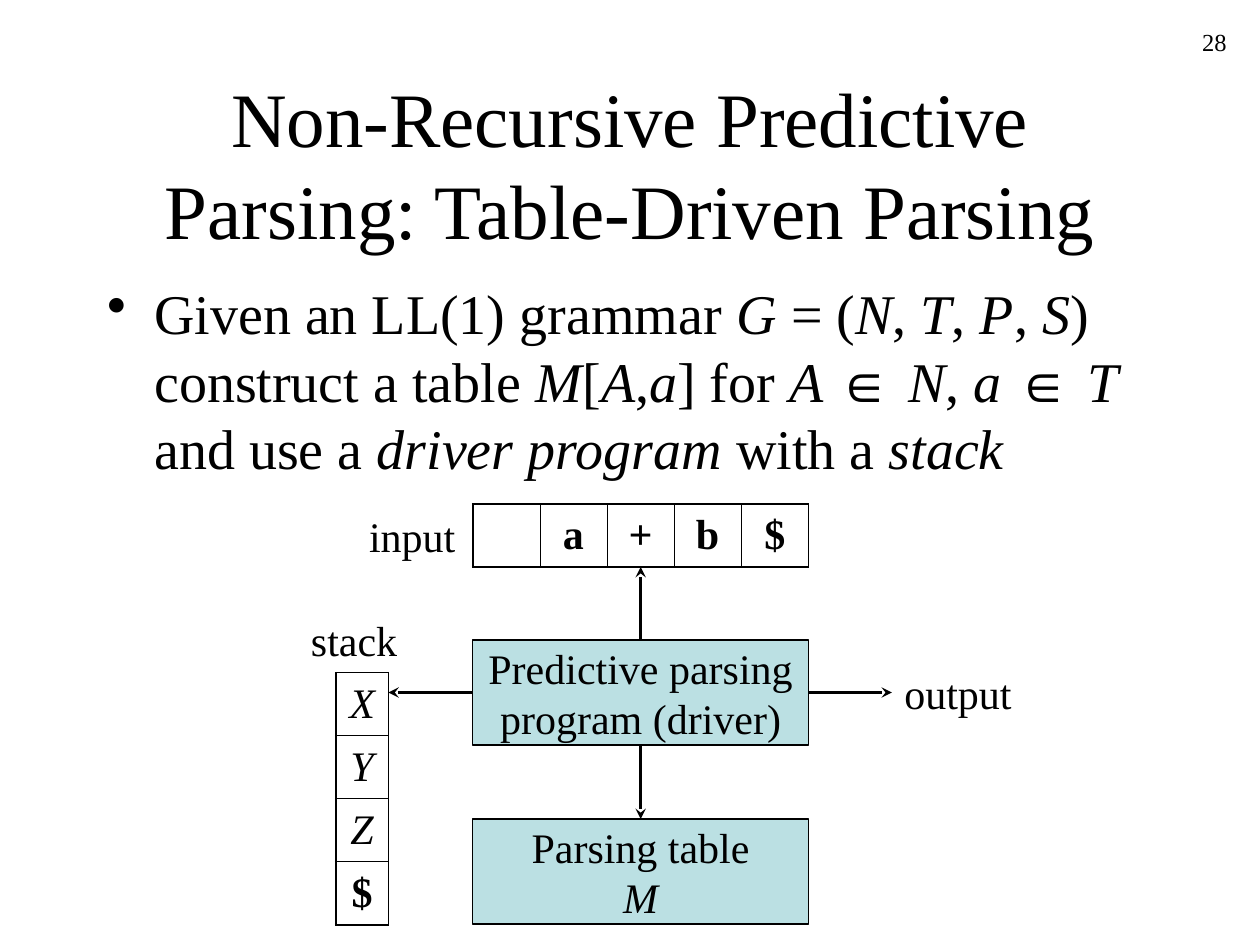
import pptx
import pptx.util
import pptx.dml.color
import pptx.enum.shapes
import pptx.enum.text
import pptx.oxml
import pptx.oxml.ns
from lxml import etree

Cm, Pt = pptx.util.Cm, pptx.util.Pt
RGBColor = pptx.dml.color.RGBColor
ALIGN = pptx.enum.text.PP_ALIGN
ANCHOR = pptx.enum.text.MSO_ANCHOR
AUTO_SIZE = pptx.enum.text.MSO_AUTO_SIZE
BLACK = RGBColor(0x00, 0x00, 0x00)
PALE_BLUE = RGBColor(0xBB, 0xE0, 0xE3)
FONT, SYMBOL_FONT = "Times New Roman", "Arial"

# Content: runs are (text, style), where style is "", "i", "b" or "symbol"
TITLE = "Non-Recursive Predictive Parsing: Table-Driven Parsing"
PAGE_NUMBER = "28"
BULLET = [
    ("Given an LL(1) grammar ", ""), ("G ", "i"), ("= (", ""), ("N", "i"),
    (", ", ""), ("T", "i"), (", ", ""), ("P", "i"), (", ", ""), ("S", "i"),
    (") construct a table ", ""), ("M", "i"), ("[", ""), ("A", "i"),
    (",", ""), ("a", "i"), ("] for ", ""), ("A ", "i"), ("∈ ", "symbol"),
    ("N", "i"), (", ", ""), ("a ", "i"), ("∈ ", "symbol"), ("T ", "i"),
    ("and use a ", ""), ("driver program", "i"), (" with a ", ""),
    ("stack", "i"),
]
INPUT_ROW = [[("", ""), ("a", "b"), ("+", "b"), ("b", "b"), ("$", "b")]]
STACK_COLUMN = [[("X", "i")], [("Y", "i")], [("Z", "i")], [("$", "b")]]
DRIVER = [[("Predictive parsing", "")], [("program (driver)", "")]]
PARSING_TABLE = [[("Parsing table", "")], [("M", "i")]]
LABELS = [  # text, left, top, width
    ("stack", 6.02, 12.27, 2.24),
    ("input", 7.19, 10.16, 2.24),
    ("output", 17.98, 13.34, 2.67),
]

# Diagram geometry in cm
BOX_LEFT, BOX_WIDTH, BOX_HEIGHT = 9.53, 6.77, 2.12
DRIVER_TOP, PARSING_TOP = 12.9, 16.51
INPUT_TOP, ROW_HEIGHT = 10.16, 1.27
STACK_LEFT, STACK_TOP, STACK_WIDTH = 6.77, 13.56, 1.06
CENTRE_X = BOX_LEFT + BOX_WIDTH / 2
CENTRE_Y = DRIVER_TOP + BOX_HEIGHT / 2
OUTPUT_X = 17.98


def write(para, runs, size, align=ALIGN.LEFT):
    para.alignment = align
    para.font.name, para.font.size = FONT, Pt(size)
    para.font.color.rgb = BLACK
    add_runs(para, runs)


def add_runs(para, runs):
    for text, style in runs:
        span = para.add_run()
        span.text = text
        if style == "i":
            span.font.italic = True
        elif style == "b":
            span.font.bold = True
        elif style == "symbol":
            span.font.name = SYMBOL_FONT


def add_text(page, left, top, width, height, wrap=True):
    box = page.shapes.add_textbox(Cm(left), Cm(top), Cm(width), Cm(height))
    box.text_frame.word_wrap = wrap
    if not wrap:
        box.text_frame.auto_size = AUTO_SIZE.SHAPE_TO_FIT_TEXT
    return box.text_frame.paragraphs[0]


def add_box(page, top, lines):
    box = page.shapes.add_shape(
        pptx.enum.shapes.MSO_SHAPE.RECTANGLE,
        Cm(BOX_LEFT), Cm(top), Cm(BOX_WIDTH), Cm(BOX_HEIGHT))
    box.shadow.inherit = False
    box.fill.solid()
    box.fill.fore_color.rgb = PALE_BLUE
    box.line.color.rgb = BLACK
    box.line.width = Pt(0.75)
    box.text_frame.word_wrap = False
    box.text_frame.vertical_anchor = ANCHOR.MIDDLE
    para = box.text_frame.paragraphs[0]
    write(para, lines[0], 24, ALIGN.CENTER)
    for line in lines[1:]:
        para.add_line_break()
        add_runs(para, line)
    return box


def set_borders(cell, outer_sides):
    properties = cell._tc.get_or_add_tcPr()
    for index, side in enumerate("LRTB"):
        width = Pt(1.08 if side in outer_sides else 0.45)
        properties.insert(index, pptx.oxml.parse_xml(
            f'<a:ln{side} {pptx.oxml.ns.nsdecls("a")} w="{width}"><a:solidFill>'
            f'<a:srgbClr val="{BLACK}"/></a:solidFill></a:ln{side}>'))


def add_grid(page, cells, left, top, width):
    rows, columns = len(cells), len(cells[0])
    table = page.shapes.add_table(
        rows, columns, Cm(left), Cm(top), Cm(width), Cm(rows * ROW_HEIGHT)).table
    table.first_row = table.horz_banding = False
    for column in table.columns:
        column.width = Cm(width / columns)
    for r, row in enumerate(cells):
        for c, run in enumerate(row):
            cell = table.cell(r, c)
            cell.fill.background()
            cell.vertical_anchor = ANCHOR.MIDDLE
            write(cell.text_frame.paragraphs[0], [run] if run[0] else [],
                  24, ALIGN.CENTER)
            edges = {"L": c == 0, "R": c == columns - 1,
                     "T": r == 0, "B": r == rows - 1}
            set_borders(cell, [side for side, outer in edges.items() if outer])


def add_arrow(page, start, site, end):
    line = page.shapes.add_connector(
        pptx.enum.shapes.MSO_CONNECTOR.STRAIGHT,
        Cm(CENTRE_X), Cm(CENTRE_Y), Cm(end[0]), Cm(end[1]))
    line.begin_connect(start, site)
    line.line.color.rgb = BLACK
    line.line.width = Pt(2)
    etree.SubElement(line.line._get_or_add_ln(),
                     pptx.oxml.ns.qn("a:tailEnd"), type="stealth")
    etree.SubElement(line._element.spPr, pptx.oxml.ns.qn("a:effectLst"))
    return line


def main():
    deck = pptx.Presentation()
    deck.slide_width, deck.slide_height = Cm(25.4), Cm(19.05)
    page = deck.slides.add_slide(deck.slide_layouts[5])

    # Title
    title = page.shapes.title
    title.left, title.top = Cm(1.91), Cm(1.69)
    title.width, title.height = Cm(21.59), Cm(3.18)
    title.text_frame.word_wrap = True
    title.text_frame.auto_size = AUTO_SIZE.NONE
    title.text_frame.vertical_anchor = ANCHOR.MIDDLE
    write(title.text_frame.paragraphs[0], [(TITLE, "")], 44, ALIGN.CENTER)

    # Bullet
    para = add_text(page, 1.91, 5.5, 21.59, 11.43)
    properties = para._p.get_or_add_pPr()
    properties.set("marL", str(Cm(0.95)))
    properties.set("indent", str(Cm(-0.95)))
    etree.SubElement(properties, pptx.oxml.ns.qn("a:buChar"), char="•")
    write(para, BULLET, 32)

    # Boxes, input tape and stack
    driver = add_box(page, DRIVER_TOP, DRIVER)
    parsing_table = add_box(page, PARSING_TOP, PARSING_TABLE)
    add_grid(page, INPUT_ROW, BOX_LEFT, INPUT_TOP, BOX_WIDTH)
    add_grid(page, STACK_COLUMN, STACK_LEFT, STACK_TOP, STACK_WIDTH)

    # Labels
    for text, left, top, width in LABELS:
        write(add_text(page, left, top, width, 1.27, wrap=False), [(text, "")], 24)

    # Arrows out of the driver
    add_arrow(page, driver, 0, (CENTRE_X, INPUT_TOP + ROW_HEIGHT))
    add_arrow(page, driver, 2, (CENTRE_X, PARSING_TOP)).end_connect(parsing_table, 0)
    add_arrow(page, driver, 3, (OUTPUT_X, CENTRE_Y))
    add_arrow(page, driver, 1, (STACK_LEFT + STACK_WIDTH, CENTRE_Y))

    # Page number
    write(add_text(page, 19.69, 0.42, 5.29, 1.27), [(PAGE_NUMBER, "")],
          14, ALIGN.RIGHT)

    deck.save("out.pptx")


if __name__ == "__main__":
    main()
